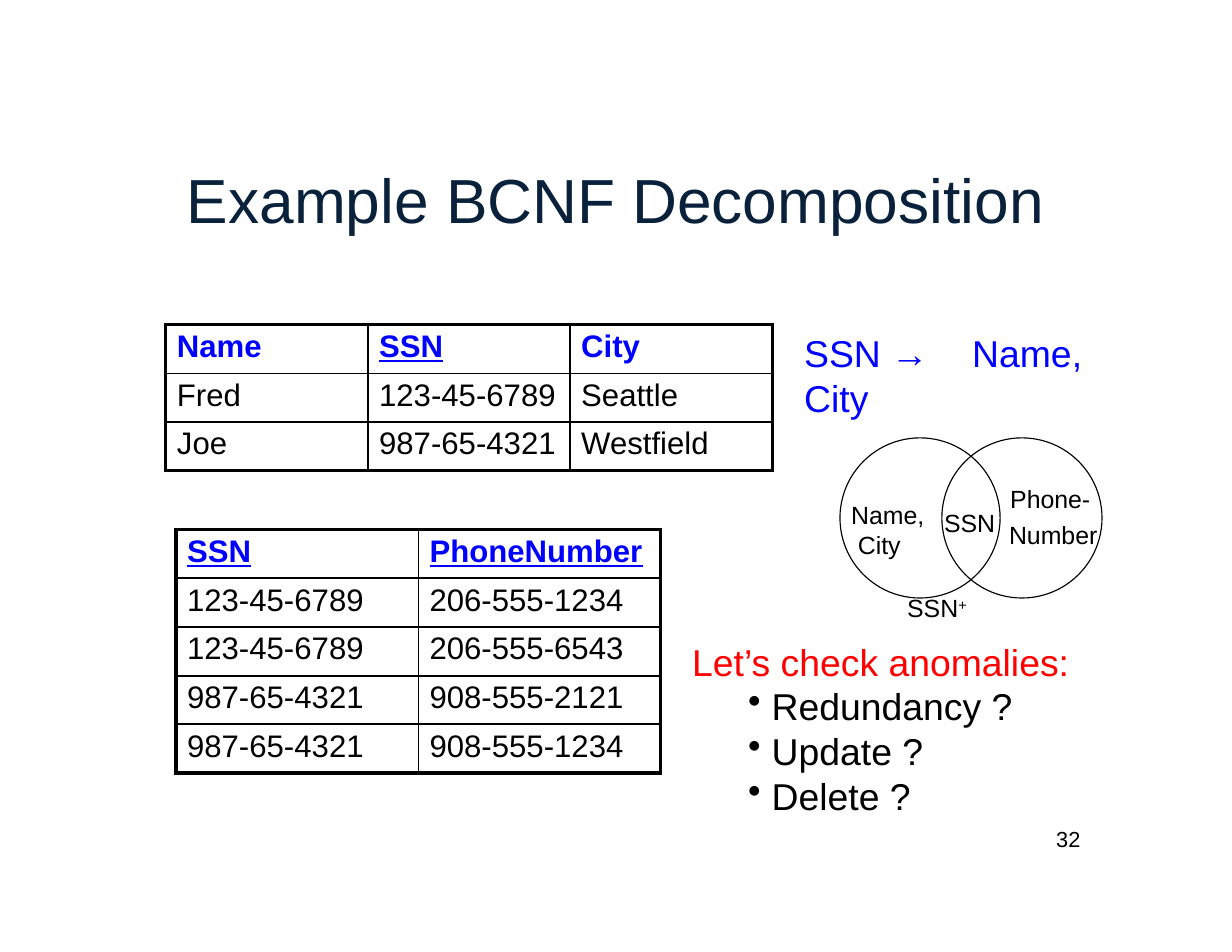
import pptx
import pptx.dml.color
import pptx.enum.shapes
import pptx.enum.text
import pptx.oxml
import pptx.oxml.ns
import pptx.util
from pptx.util import Inches

BLACK, BLUE, RED, NAVY = "000000", "0000FF", "FF0000", "09213B"


def color(code):
    return pptx.dml.color.RGBColor.from_string(code)


def add_xml(parent, body):
    """Append a drawing element written as XML to parent."""
    namespace = pptx.oxml.ns.nsdecls("a")
    head, rest = body.split(" ", 1)
    parent.append(pptx.oxml.parse_xml(f"{head} {namespace} {rest}"))


def add_span(para, text, size=16, tint=BLACK, bold=False, underline=False, raised=None):
    span = para.add_run()
    span.text = text
    font = span.font
    font.name = SlideBuilder.font_name
    font.size = pptx.util.Pt(size)
    font.color.rgb = color(tint)
    font.bold = bold
    font.underline = underline
    if raised:
        font._element.set("baseline", str(raised * 1000))
    return span


def format_para(para, left=0.01, hanging=0, before=0, line=None, bullet=None, tab=None):
    para.alignment = pptx.enum.text.PP_ALIGN.LEFT
    para.space_before = pptx.util.Pt(before)
    if line:
        para.line_spacing = pptx.util.Pt(line)
    properties = para._p.get_or_add_pPr()
    properties.set("marL", str(Inches(left)))
    properties.set("indent", str(Inches(-hanging)))
    if bullet:
        add_xml(properties, f'<a:buChar char="{bullet}"/>')
    if tab:
        add_xml(properties, f'<a:tabLst ><a:tab pos="{Inches(tab)}" algn="l"/></a:tabLst>')


class SlideBuilder:
    font_name = "Arial"
    row_height = 0.435

    def __init__(self, deck):
        self.slide = deck.slides.add_slide(deck.slide_layouts[6])

    def text(self, left, top, width, height, paras, inset=0.01):
        """Each para is (list of (text, span format), para format)."""
        box = self.slide.shapes.add_textbox(
            Inches(left), Inches(top), Inches(width), Inches(height))
        frame = box.text_frame
        frame.word_wrap = True
        frame.margin_left = frame.margin_right = frame.margin_bottom = 0
        frame.margin_top = Inches(inset)
        for index, (spans, layout) in enumerate(paras):
            para = frame.add_paragraph() if index else frame.paragraphs[0]
            format_para(para, **layout)
            for words, style in spans:
                add_span(para, words, **style)

    def circle(self, left, top, size):
        shape = self.slide.shapes.add_shape(
            pptx.enum.shapes.MSO_SHAPE.OVAL,
            Inches(left), Inches(top), Inches(size), Inches(size))
        shape.shadow.inherit = False
        shape.fill.background()
        shape.line.color.rgb = color(BLACK)
        shape.line.width = pptx.util.Pt(0.75)

    def table(self, left, top, column_width, rows, keys, edges, row_rule):
        """edges holds the outer left, right, top and bottom line widths."""
        count, columns = len(rows), len(rows[0])
        frame = self.slide.shapes.add_table(
            count, columns, Inches(left), Inches(top),
            Inches(column_width * columns), Inches(self.row_height * count))
        table = frame.table
        table.first_row = table.horz_banding = False
        for column in table.columns:
            column.width = Inches(column_width)
        for r, row in enumerate(rows):
            table.rows[r].height = Inches(self.row_height)
            for c, words in enumerate(row):
                header = r == 0
                cell = table.cell(r, c)
                cell.margin_left = cell.margin_right = cell.margin_bottom = 0
                cell.margin_top = Inches(0.04)
                para = cell.text_frame.paragraphs[0]
                format_para(para, left=0.1, before=3)
                add_span(para, words, size=20, tint=BLUE if header else BLACK,
                         bold=header, underline=header and words in keys)
                outer = (c == 0, c == columns - 1, r == 0, r == count - 1)
                inner = (1, 1, row_rule, row_rule)
                widths = [e if out else i for out, e, i in zip(outer, edges, inner)]
                self.borders(cell, widths)
                cell.fill.background()

    @staticmethod
    def borders(cell, widths):
        properties = cell._tc.get_or_add_tcPr()
        for side, width in zip("LRTB", widths):
            add_xml(properties,
                    f'<a:ln{side} w="{pptx.util.Pt(width)}"><a:solidFill>'
                    f'<a:srgbClr val="{BLACK}"/></a:solidFill></a:ln{side}>')


def main():
    deck = pptx.Presentation()
    deck.slide_width, deck.slide_height = Inches(11), Inches(8.5)
    page = SlideBuilder(deck)

    # Title
    page.text(1.66, 1.43, 7.8, 0.7, [
        ([("Example BCNF Decomposition", dict(size=40, tint=NAVY))], dict(before=1))])

    # Decomposed tables
    page.table(1.48, 2.9, 1.805, [
        ("Name", "SSN", "City"),
        ("Fred", "123-45-6789", "Seattle"),
        ("Joe", "987-65-4321", "Westfield"),
    ], keys={"SSN"}, edges=(2.25, 2.25, 2.25, 2.25), row_rule=1)
    page.table(1.57, 4.73, 2.165, [
        ("SSN", "PhoneNumber"),
        ("123-45-6789", "206-555-1234"),
        ("123-45-6789", "206-555-6543"),
        ("987-65-4321", "908-555-2121"),
        ("987-65-4321", "908-555-1234"),
    ], keys={"SSN", "PhoneNumber"}, edges=(3, 2.25, 2.25, 3), row_rule=1.5)

    # Functional dependency
    page.text(7.17, 2.94, 3.05, 0.43, [
        ([("SSN →\tName, City", dict(size=24, tint=BLUE))], dict(before=1, tab=1.3))])

    # Venn diagram
    for left in (7.5, 8.41):
        page.circle(left, 3.91, 1.43)
    page.text(7.59, 4.45, 0.7, 0.56, [
        ([("Name,", {})], dict(before=1)),
        ([("City", {})], dict(left=0.07))])
    page.text(8.42, 4.36, 1.32, 0.46, [
        ([("Phone-", {})], dict(left=0.6, line=15.6, before=1)),
        ([("SSN", {})], dict(line=15.6))])
    page.text(9, 4.63, 0.85, 0.3, [([("Number", {})], dict(before=1))])

    # Closure label and anomaly checklist
    checks = [([(f"{name} ?", dict(size=24))], dict(left=0.75, hanging=0.21, bullet="•"))
              for name in ("Redundancy", "Update", "Delete")]
    page.text(6.14, 5.18, 3.45, 2.14, [
        ([("SSN", {}), ("+", dict(raised=26))], dict(left=1.96, before=8.1)),
        ([("Let’s check anomalies:", dict(size=24, tint=RED))],
         dict(left=0.04, before=10.6)),
        *checks], inset=0.11)

    # Page number
    page.text(9.39, 7.38, 0.3, 0.25, [
        ([("32", dict(size=14))], dict(left=0.04, line=16.4))], inset=0)

    deck.save("out.pptx")


if __name__ == "__main__":
    main()
